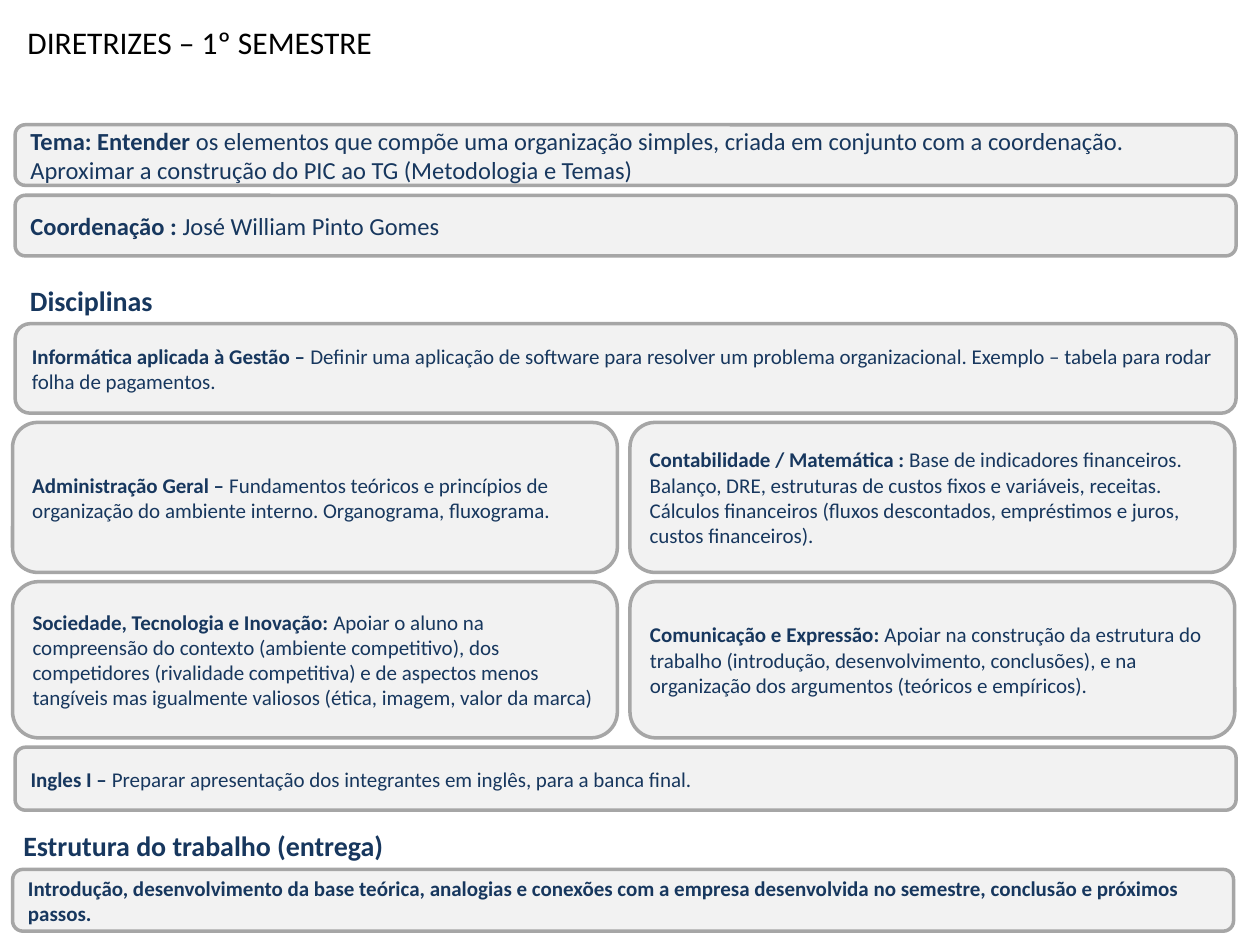
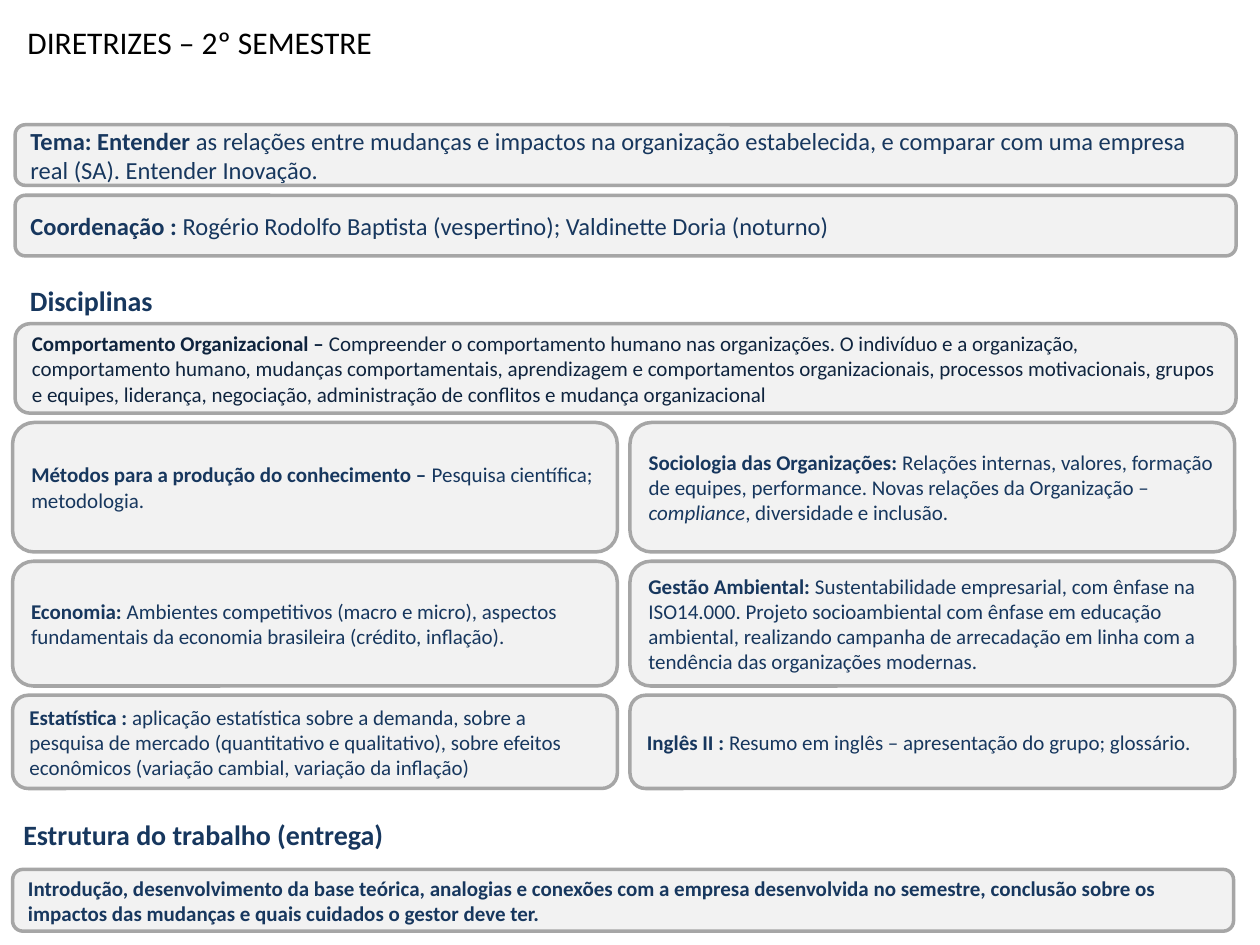
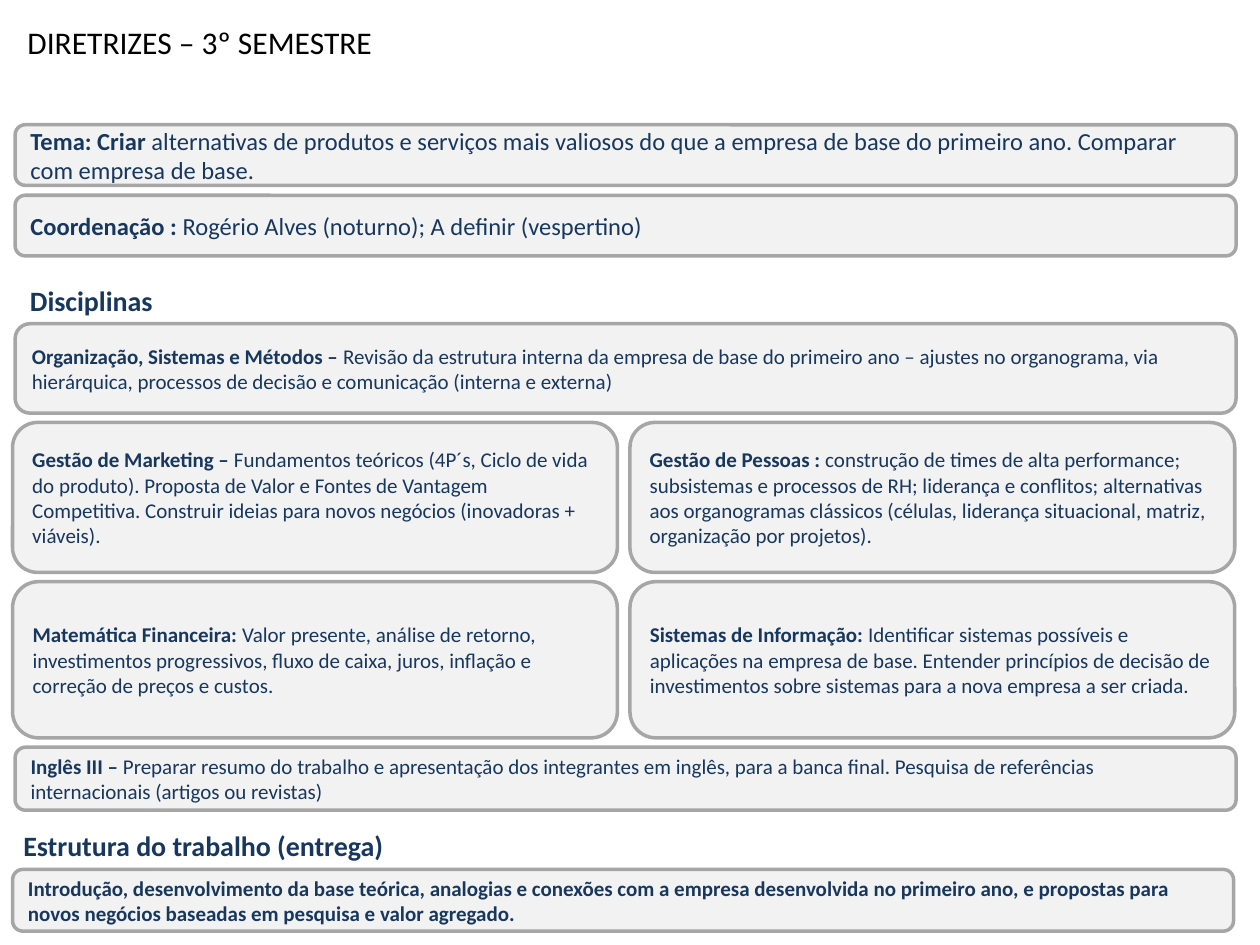
from pptx import Presentation
from pptx.dml.color import RGBColor
from pptx.enum.shapes import MSO_SHAPE
from pptx.enum.text import MSO_ANCHOR, PP_ALIGN
from pptx.util import Pt

ROUND = MSO_SHAPE.ROUNDED_RECTANGLE
MIDDLE = MSO_ANCHOR.MIDDLE
LEFT = PP_ALIGN.LEFT

BLACK = RGBColor(0x00, 0x00, 0x00)
NAVY = RGBColor(0x17, 0x37, 0x5E)
DARK_NAVY = RGBColor(0x0F, 0x24, 0x3E)
PALE = RGBColor(0xF2, 0xF2, 0xF2)
GREY = RGBColor(0xA6, 0xA6, 0xA6)

FONT = "Calibri"
# Run styles (bold, italic), in the order in which a box lists its texts
RUN_STYLES = [(True, False), (False, False), (False, True), (False, False)]

BAND_X, BAND_W = 8.64, 697.7
COLUMN_X, COLUMN_W = (7.2, 360), 345.6
DELIVERY_X, HEADING_X = 7.2, 4.3
SUBJECTS_Y, ROW_GAP = 185, 5.3


class Guide:
    """Shared style and the slide being filled."""

    def __init__(self, prs):
        self.prs = prs
        self.slide = None

    def new_slide(self):
        self.slide = self.prs.slides.add_slide(self.prs.slide_layouts[6])

    def add_runs(self, p, texts, size, color):
        p.alignment = LEFT
        for text, (bold, italic) in zip(texts, RUN_STYLES):
            r = p.add_run()
            r.text = text
            r.font.name = FONT
            r.font.size = Pt(size)
            r.font.bold = bold
            r.font.italic = italic
            r.font.color.rgb = color

    def title(self, text):
        s = self.slide.shapes.add_textbox(Pt(BAND_X), Pt(9.4), Pt(544.3), Pt(28.8))
        tf = s.text_frame
        tf.word_wrap = True
        p = tf.paragraphs[0]
        self.add_runs(p, [text], 18, BLACK)
        p.runs[0].font.bold = False

    def heading(self, x, y, h, text):
        s = self.box(x, y, BAND_W, h, [text], 16)
        s.fill.background()
        s.line.fill.background()

    def box(self, x, y, w, h, texts, size=12, color=NAVY):
        s = self.slide.shapes.add_shape(ROUND, Pt(x), Pt(y), Pt(w), Pt(h))
        s.shadow.inherit = False
        s.fill.solid()
        s.fill.fore_color.rgb = PALE
        s.line.color.rgb = GREY
        s.line.width = Pt(2)
        tf = s.text_frame
        tf.word_wrap = True
        tf.vertical_anchor = MIDDLE
        self.add_runs(tf.paragraphs[0], texts, size, color)
        return s

    def subjects(self, rows, first_color):
        """Stack the rows: one box fills the width, two share it."""
        y, color = SUBJECTS_Y, first_color
        for h, boxes in rows:
            if len(boxes) == 1:
                self.box(BAND_X, y, BAND_W, h, boxes[0], color=color)
            else:
                for x, texts in zip(COLUMN_X, boxes):
                    self.box(x, y, COLUMN_W, h, texts, color=color)
            y += h + ROW_GAP
            color = NAVY


SEMESTERS = [
    {
        "title": "DIRETRIZES – 1º SEMESTRE",
        "theme": ("Tema: Entender", " os elementos que compõe uma organização simples, criada em conjunto "
                  "com a coordenação. Aproximar a construção do PIC ao TG (Metodologia e Temas)"),
        "coordination": "José William Pinto Gomes",
        "first_color": NAVY,
        "rows": [
            (51.1, [("Informática aplicada à Gestão – ",
                     "Definir uma aplicação de software para resolver um problema organizacional. "
                     "Exemplo – tabela para rodar folha de pagamentos.")]),
            (85.7, [("Administração Geral – ",
                     "Fundamentos teóricos e princípios de organização do ambiente interno. "
                     "Organograma, fluxograma."),
                    ("Contabilidade / Matemática :",
                     " Base de indicadores financeiros. Balanço, DRE, estruturas de custos fixos e "
                     "variáveis, receitas. Cálculos financeiros (fluxos descontados, empréstimos e "
                     "juros, custos financeiros).")]),
            (89.3, [("Sociedade, Tecnologia e Inovação:",
                     " Apoiar o aluno na compreensão do contexto (ambiente competitivo), dos "
                     "competidores (rivalidade competitiva) e de aspectos menos tangíveis mas "
                     "igualmente valiosos (ética, imagem, valor da marca)"),
                    ("Comunicação e Expressão: ",
                     "Apoiar na construção da estrutura do trabalho (introdução, desenvolvimento, "
                     "conclusões), e na organização dos argumentos (teóricos e empíricos).")]),
            (36, [("Ingles I – ",
                   "Preparar apresentação dos integrantes em inglês, para a banca final.")]),
        ],
        "heading_y": 463,
        "delivery": "no semestre, conclusão e próximos passos.",
    },
    {
        "title": "DIRETRIZES – 2º SEMESTRE",
        "theme": ("Tema: Entender", " as relações entre mudanças e impactos na organização estabelecida, "
                  "e comparar com uma empresa real (SA). Entender Inovação."),
        "coordination": "Rogério Rodolfo Baptista (vespertino); Valdinette Doria (noturno)",
        "first_color": DARK_NAVY,
        "rows": [
            (51.1, [("Comportamento Organizacional – ",
                     "Compreender o comportamento humano nas organizações. O indivíduo e a "
                     "organização, comportamento humano, mudanças comportamentais, aprendizagem e "
                     "comportamentos organizacionais, processos motivacionais, grupos e equipes, "
                     "liderança, negociação, administração de conflitos e mudança organizacional")]),
            (74, [("Métodos para a produção do conhecimento – ",
                   "Pesquisa científica; metodologia."),
                  ("Sociologia das Organizações:",
                   " Relações internas, valores, formação de equipes, performance. Novas relações "
                   "da Organização – ", "compliance", ", diversidade e inclusão.")]),
            (71.3, [("Economia:",
                     " Ambientes competitivos (macro e micro), aspectos fundamentais da economia "
                     "brasileira (crédito, inflação)."),
                    ("Gestão Ambiental:",
                     " Sustentabilidade empresarial, com ênfase na ISO14.000. Projeto "
                     "socioambiental com ênfase em educação ambiental, realizando campanha de "
                     "arrecadação em linha com a tendência das organizações modernas.")]),
            (53.3, [("Estatística :",
                     " aplicação estatística sobre a demanda, sobre a pesquisa de mercado "
                     "(quantitativo e qualitativo), sobre efeitos econômicos (variação cambial, "
                     "variação da inflação)"),
                    ("Inglês II :", " Resumo em inglês – apresentação do grupo; glossário.")]),
        ],
        "heading_y": 457.2,
        "delivery": "no semestre, conclusão sobre os impactos das mudanças e quais cuidados o gestor "
                    "deve ter.",
    },
    {
        "title": "DIRETRIZES – 3º SEMESTRE",
        "theme": ("Tema: Criar", " alternativas de produtos e serviços mais valiosos do que a empresa de "
                  "base do primeiro ano. Comparar com empresa de base."),
        "coordination": "Rogério Alves (noturno); A definir (vespertino)",
        "first_color": NAVY,
        "rows": [
            (51.1, [("Organização, Sistemas e Métodos – ",
                     "Revisão da estrutura interna da empresa de base do primeiro ano – ajustes no "
                     "organograma, via hierárquica, processos de decisão e comunicação (interna e "
                     "externa)")]),
            (85.7, [("Gestão de Marketing – ",
                     "Fundamentos teóricos (4P´s, Ciclo de vida do produto). Proposta de Valor e "
                     "Fontes de Vantagem Competitiva. Construir ideias para novos negócios "
                     "(inovadoras + viáveis)."),
                    ("Gestão de Pessoas :",
                     " construção de times de alta performance; subsistemas e processos de RH; "
                     "liderança e conflitos; alternativas aos organogramas clássicos (células, "
                     "liderança situacional, matriz, organização por projetos).")]),
            (89.3, [("Matemática Financeira: ",
                     "Valor presente, análise de retorno, investimentos progressivos, fluxo de "
                     "caixa, juros, inflação e correção de preços e custos."),
                    ("Sistemas de Informação: ",
                     "Identificar sistemas possíveis e aplicações na empresa de base. Entender "
                     "princípios de decisão de investimentos sobre sistemas para a nova empresa a "
                     "ser criada.")]),
            (36, [("Inglês III – ",
                   "Preparar resumo do trabalho e apresentação dos integrantes em inglês, para a "
                   "banca final. Pesquisa de referências internacionais (artigos ou revistas)")]),
        ],
        "heading_y": 463,
        "delivery": "no primeiro ano, e propostas para novos negócios baseadas em pesquisa e valor "
                    "agregado.",
    },
]
DELIVERY_START = ("Introdução, desenvolvimento da base teórica, analogias e conexões com a empresa "
                  "desenvolvida ")


def main():
    prs = Presentation()
    prs.slide_width, prs.slide_height = Pt(720), Pt(540)
    guide = Guide(prs)
    for semester in SEMESTERS:
        guide.new_slide()
        guide.title(semester["title"])
        # Theme and coordination
        guide.box(BAND_X, 71.3, BAND_W, 34.6, semester["theme"], 14)
        guide.box(BAND_X, 111.6, BAND_W, 34.6, ("Coordenação : ", semester["coordination"]), 14)
        # Subjects
        guide.heading(BAND_X, 157, 28.8, "Disciplinas")
        guide.subjects(semester["rows"], semester["first_color"])
        # Work to hand in
        guide.heading(HEADING_X, semester["heading_y"], 39.6, "Estrutura do trabalho (entrega)")
        guide.box(DELIVERY_X, 496.8, BAND_W, 35.3, [DELIVERY_START + semester["delivery"]])
    prs.save("out.pptx")


if __name__ == "__main__":
    main()
